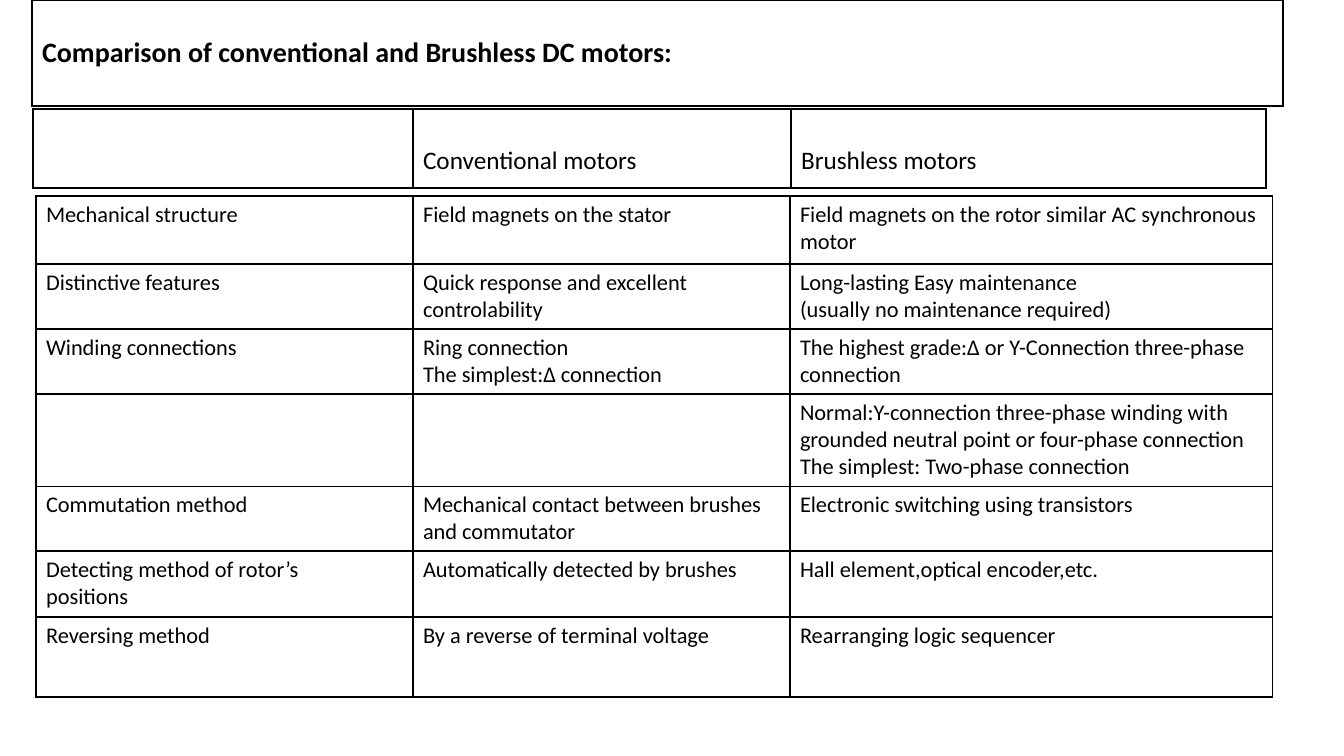
from lxml import etree
from pptx import Presentation
from pptx import util as u
from pptx.dml import color
from pptx.enum import text
from pptx.oxml import ns

PIXEL = 914400 / 100.8
COLORS = {"ink": "000000"}
FONT = "Calibri"


def px(length):
    return u.Emu(round(length * PIXEL))


def add_borders(cell):
    properties = cell._tc.get_or_add_tcPr()
    for index, side in enumerate(("lnL", "lnR", "lnT", "lnB")):
        line = etree.Element(ns.qn(f"a:{side}"), w=str(u.Pt(1)))
        fill = etree.SubElement(line, ns.qn("a:solidFill"))
        etree.SubElement(fill, ns.qn("a:srgbClr"), val=COLORS["ink"])
        properties.insert(index, line)


def write_cell(cell, content, size=16, bold=False, inset=5, anchor=text.MSO_ANCHOR.TOP):
    cell.fill.background()
    cell.vertical_anchor = anchor
    cell.margin_top = px(inset)
    add_borders(cell)
    if not content:
        return
    cell.text_frame.text = content
    for paragraph in cell.text_frame.paragraphs:
        font = paragraph.runs[0].font
        font.name = FONT
        font.size = u.Pt(size)
        font.bold = bold
        font.color.rgb = color.RGBColor.from_string(COLORS["ink"])


def add_grid(slide, left, top, widths, heights, rows, **style):
    frame = slide.shapes.add_table(
        len(heights), len(widths), px(left), px(top), px(sum(widths)), px(sum(heights))
    )
    table = frame.table
    table.first_row = False
    table.horz_banding = False
    for column, width in zip(table.columns, widths):
        column.width = px(width)
    for row, height, contents in zip(table.rows, heights, rows):
        row.height = px(height)
        for cell, content in zip(row.cells, contents):
            write_cell(cell, content, **style)


def add_title(slide, left, top, width, height):
    add_grid(slide, left, top, [width], [height],
             [["Comparison of conventional and Brushless DC motors:"]],
             size=20, bold=True, anchor=text.MSO_ANCHOR.MIDDLE)


def add_motor_types(slide, left, top, width, height):
    label, conventional = 380, 378
    add_grid(slide, left, top, [label, conventional, width - label - conventional],
             [height], [["", "Conventional motors", "Brushless motors"]],
             size=18, inset=36)


def add_comparison(slide, left, top, width):
    column = 377
    rows = [
        ["Mechanical structure", "Field magnets on the stator",
         "Field magnets on the rotor similar AC synchronous motor"],
        ["Distinctive features", "Quick response and excellent controlability",
         "Long-lasting Easy maintenance\n(usually no maintenance required)"],
        ["Winding connections", "Ring connection\nThe simplest:Δ connection",
         "The highest grade:Δ or Y-Connection three-phase connection"],
        ["", "",
         "Normal:Y-connection three-phase winding with grounded neutral point "
         "or four-phase connection\nThe simplest: Two-phase connection"],
        ["Commutation method", "Mechanical contact between brushes and commutator",
         "Electronic switching using transistors"],
        ["Detecting method of rotor’s\npositions", "Automatically detected by brushes",
         "Hall element,optical encoder,etc."],
        ["Reversing method", "By a reverse of terminal voltage",
         "Rearranging logic sequencer"],
    ]
    add_grid(slide, left, top, [column, column, width - 2 * column],
             [68, 65, 65, 92, 65, 66, 80], rows)


presentation = Presentation()
presentation.slide_width = px(1344)
presentation.slide_height = px(756)
slide = presentation.slides.add_slide(presentation.slide_layouts[6])
add_title(slide, 32, 0, 1251, 106)
add_comparison(slide, 36, 196, 1237)
add_motor_types(slide, 33, 109, 1233, 79)
presentation.save("out.pptx")
